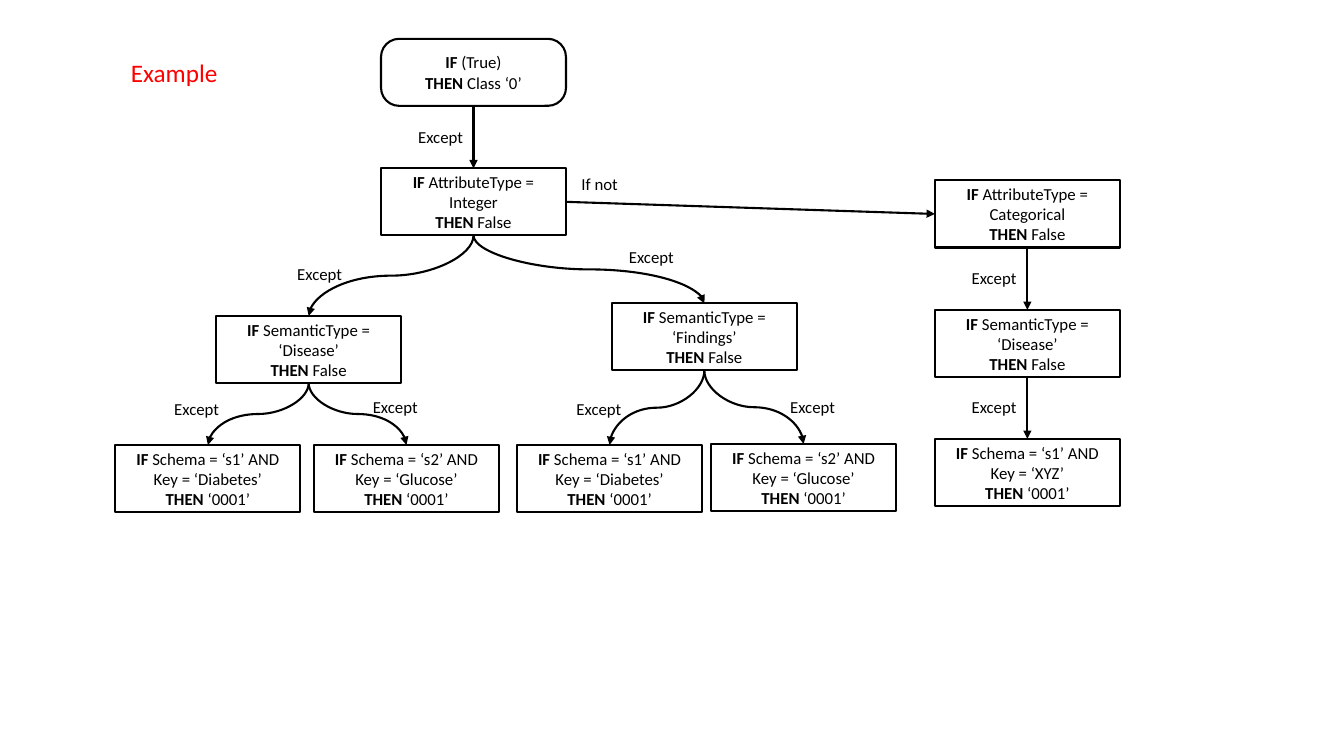
from lxml import etree
from pptx import Presentation
from pptx import util as u
from pptx.dml.color import RGBColor
from pptx.enum import shapes, text
from pptx.oxml.ns import qn

CELL = 0.1  # grid of square cells, in inches
COLUMNS, ROWS = 133.33, 75
BOX_COLUMNS, BOX_ROWS = 18.35, 6.65
LABEL_COLUMNS, LABEL_ROWS = 6.8, 3
LINE_WIDTH = u.Pt(1.5)
FONT = "Calibri"
COLORS = {"ink": "000000", "title": "FF0000"}
TOP, LEFT, BOTTOM, RIGHT = range(4)  # connection sites of a box

# name: column, row, condition, conclusion
RULES = {
    "root": (37.8, 3.85, "(True)", "Class ‘0’"),
    "integer": (37.8, 16.7, "AttributeType = Integer", "False"),
    "disease": (21.45, 31.35, "SemanticType = ‘Disease’", "False"),
    "findings": (60.7, 30.1, "SemanticType = ‘Findings’", "False"),
    "disease s1": (11.45, 44.15, "Schema = ‘s1’ AND Key = ‘Diabetes’", "‘0001’"),
    "disease s2": (31.15, 44.15, "Schema = ‘s2’ AND Key = ‘Glucose’", "‘0001’"),
    "findings s1": (51.3, 44.15, "Schema = ‘s1’ AND Key = ‘Diabetes’", "‘0001’"),
    "findings s2": (70.55, 44.05, "Schema = ‘s2’ AND Key = ‘Glucose’", "‘0001’"),
    "categorical": (92.75, 17.9, "AttributeType = Categorical", "False"),
    "category disease": (92.75, 30.75, "SemanticType = ‘Disease’", "False"),
    "category s1": (92.75, 43.55, "Schema = ‘s1’ AND Key = ‘XYZ’", "‘0001’"),
}

# parent, child, column and row of the "Except" label
EXCEPTIONS = [
    ("root", "integer", 40.5, 12.1),
    ("integer", "disease", 28.5, 25.7),
    ("integer", "findings", 61.4, 24),
    ("disease", "disease s1", 16.3, 39.1),
    ("disease", "disease s2", 36, 38.9),
    ("findings", "findings s1", 56.2, 39.1),
    ("findings", "findings s2", 77.4, 38.9),
    ("categorical", "category disease", 95.4, 26.1),
    ("category disease", "category s1", 95.4, 38.9),
]


def cells(count):
    return u.Inches(count * CELL)


def style_paragraph(para, size, color):
    para.font.name = FONT
    para.font.size = u.Pt(size)
    para.font.color.rgb = RGBColor.from_string(COLORS[color])


def add_rule(page, column, row, condition, conclusion, rounding=0):
    box = page.shapes.add_shape(
        shapes.MSO_SHAPE.ROUNDED_RECTANGLE,
        cells(column), cells(row), cells(BOX_COLUMNS), cells(BOX_ROWS))
    box.adjustments[0] = rounding
    box.shadow.inherit = False
    box.fill.background()
    box.line.color.rgb = RGBColor.from_string(COLORS["ink"])
    box.line.width = LINE_WIDTH

    frame = box.text_frame
    frame.word_wrap = True
    frame.vertical_anchor = text.MSO_ANCHOR.MIDDLE
    parts = (("IF", condition), ("THEN", conclusion))
    for para, (keyword, clause) in zip((frame.paragraphs[0], frame.add_paragraph()), parts):
        para.alignment = text.PP_ALIGN.CENTER
        style_paragraph(para, 12, "ink")
        span = para.add_run()
        span.text = keyword
        span.font.bold = True
        para.add_run().text = " " + clause
    return box


def add_label(page, column, row, wording, columns=LABEL_COLUMNS, rows=LABEL_ROWS,
              size=12, color="ink"):
    box = page.shapes.add_textbox(cells(column), cells(row), cells(columns), cells(rows))
    frame = box.text_frame
    frame.word_wrap = False
    para = frame.paragraphs[0]
    para.alignment = text.PP_ALIGN.LEFT
    para.text = wording
    style_paragraph(para, size, color)


def add_arrow(page, parent, child, start=BOTTOM, end=TOP, curved=False):
    kind = shapes.MSO_CONNECTOR.CURVE if curved else shapes.MSO_CONNECTOR.STRAIGHT
    arrow = page.shapes.add_connector(kind, 0, 0, 0, 0)
    arrow.begin_connect(parent, start)
    arrow.end_connect(child, end)
    if curved:
        stand_upright(arrow)
    arrow.line.color.rgb = RGBColor.from_string(COLORS["ink"])
    arrow.line.width = LINE_WIDTH
    outline = arrow._element.spPr.find(qn("a:ln"))
    etree.SubElement(outline, qn("a:tailEnd"), type="triangle")
    etree.SubElement(arrow._element.spPr, qn("a:effectLst"))


def stand_upright(arrow):
    """Turn a curve so that it leaves and arrives vertically."""
    rightward = arrow.end_x > arrow.begin_x
    across, down = arrow.width, arrow.height
    middle_x, middle_y = arrow.left + across // 2, arrow.top + down // 2
    arrow.left, arrow.top = middle_x - down // 2, middle_y - across // 2
    arrow.width, arrow.height = down, across
    frame = arrow._element.spPr.find(qn("a:xfrm"))
    frame.set("rot", str((270 if rightward else 90) * 60000))
    frame.set("flipH", "1" if rightward else "0")
    frame.set("flipV", "0")


def main():
    deck = Presentation()
    deck.slide_width, deck.slide_height = cells(COLUMNS), cells(ROWS)
    page = deck.slides.add_slide(deck.slide_layouts[6])

    # Title
    add_label(page, 12, 5.2, "Example", columns=10.8, rows=4, size=18, color="title")

    # Rules
    boxes = {name: add_rule(page, *rule, rounding=0.27 if name == "root" else 0)
             for name, rule in RULES.items()}

    # Exceptions: straight below the parent, curved to the sides
    for parent, child, column, row in EXCEPTIONS:
        curved = RULES[parent][0] != RULES[child][0]
        add_arrow(page, boxes[parent], boxes[child], curved=curved)
        add_label(page, column, row, "Except")

    # Alternative branch
    add_arrow(page, boxes["integer"], boxes["categorical"], RIGHT, LEFT)
    add_label(page, 56.7, 16.7, "If not", columns=5.8)

    deck.save("out.pptx")


if __name__ == "__main__":
    main()
